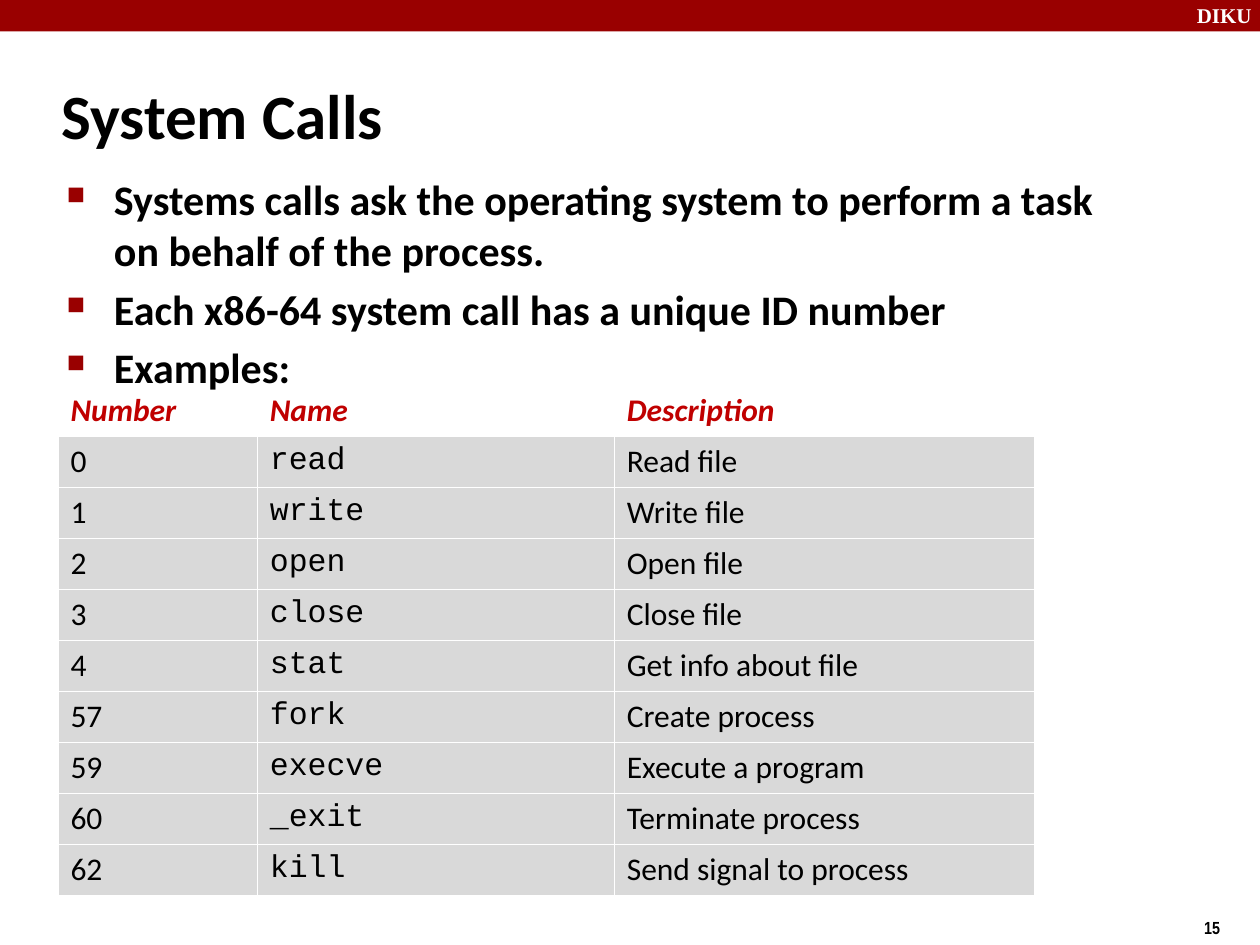
from lxml.etree import SubElement
from pptx import Presentation
from pptx.dml.color import RGBColor
from pptx.enum.shapes import MSO_SHAPE
from pptx.enum.text import MSO_ANCHOR
from pptx.oxml.ns import qn
from pptx.util import Pt

COLORS = {"bar": "990000", "head": "C00000", "text": "000000",
          "white": "FFFFFF", "cell": "D9D9D9"}
BULLETS = [
    "Systems calls ask the operating system to perform a task on behalf of the process.",
    "Each x86-64 system call has a unique ID number",
    "Examples:",
]
CALLS = [
    ("Number", "Name", "Description"),
    ("0", "read", "Read file"),
    ("1", "write", "Write file"),
    ("2", "open", "Open file"),
    ("3", "close", "Close file"),
    ("4", "stat", "Get info about file"),
    ("57", "fork", "Create process"),
    ("59", "execve", "Execute a program"),
    ("60", "_exit", "Terminate process"),
    ("62", "kill", "Send signal to process"),
]


def color(name):
    """Return the named palette colour."""
    return RGBColor.from_string(COLORS[name])


def style(p, size, font="Calibri", ink="text", bold=True, italic=False):
    """Format every run of a paragraph."""
    for r in p.runs:
        r.font.size, r.font.name = Pt(size), font
        r.font.bold, r.font.italic = bold, italic
        r.font.color.rgb = color(ink)


def add_text(s, box, text, size, wrap=True, **look):
    """Add a one-paragraph text box and return its frame."""
    tf = s.shapes.add_textbox(*map(Pt, box)).text_frame
    tf.word_wrap = wrap
    tf.text = text
    style(tf.paragraphs[0], size, **look)
    return tf


def add_bar(s, left, top, width, height):
    """Draw the top bar with the department label at its right end."""
    sp = s.shapes.add_shape(MSO_SHAPE.RECTANGLE, Pt(left), Pt(top), Pt(width), Pt(height))
    sp.shadow.inherit = False
    sp.fill.solid()
    sp.fill.fore_color.rgb = color("bar")
    sp.line.fill.background()
    add_text(s, (left + width - 43.2, top - 2.2, 48.2, 21.6), "DIKU", 12,
             wrap=False, font="Times New Roman", ink="white")


def add_title(s, *box):
    """Place the slide title, centred vertically in its box."""
    tf = add_text(s, box, "System Calls", 36)
    tf.vertical_anchor = MSO_ANCHOR.MIDDLE


def add_bullets(s, *box):
    """Place the list with small square bullets."""
    tf = s.shapes.add_textbox(*map(Pt, box)).text_frame
    tf.word_wrap = True
    tf.text = "\n".join(BULLETS)
    for i, p in enumerate(tf.paragraphs):
        p.space_before = Pt(4.8 if i else 0)
        pPr = p._p.get_or_add_pPr()
        pPr.set("marL", str(Pt(27)))
        pPr.set("indent", str(Pt(-27)))
        bu = SubElement(pPr, qn("a:buClr"))
        SubElement(bu, qn("a:srgbClr"), val=COLORS["bar"])
        SubElement(pPr, qn("a:buSzPct"), val="60000")
        SubElement(pPr, qn("a:buChar"), char="■")
        style(p, 24)


def add_call_table(s, left, top, width, height):
    """Place the system call table with a plain header and grey rows."""
    tbl = s.shapes.add_table(len(CALLS), 3, Pt(left), Pt(top), Pt(width), Pt(height)).table
    for col, share in zip(tbl.columns, (1.58, 2.83, 3.33)):
        col.width = Pt(width * share / 7.74)
    for i, row in enumerate(CALLS):
        tbl.rows[i].height = Pt(height / len(CALLS))
        for j, text in enumerate(row):
            cell = tbl.cell(i, j)
            cell.text = text
            cell.fill.solid()
            cell.fill.fore_color.rgb = color("cell" if i else "white")
            p = cell.text_frame.paragraphs[0]
            if i:
                style(p, 18, font="Courier New" if j == 1 else "Calibri", bold=False)
            else:
                style(p, 18, ink="head", italic=True)


def main():
    """Build and save the slide."""
    prs = Presentation()
    prs.slide_width, prs.slide_height = Pt(720), Pt(540)
    s = prs.slides.add_slide(prs.slide_layouts[6])
    add_bar(s, 0, 0, 720, 18)
    add_text(s, (681, 520.5, 54, 19.5), "15", 10, wrap=False, font="Arial Narrow")
    add_title(s, 28, 35.3, 597.6, 59.8)
    add_call_table(s, 33.1, 220.3, 558, 291.6)
    add_bullets(s, 31, 95.8, 622, 419.8)
    prs.save("out.pptx")


if __name__ == "__main__":
    main()
